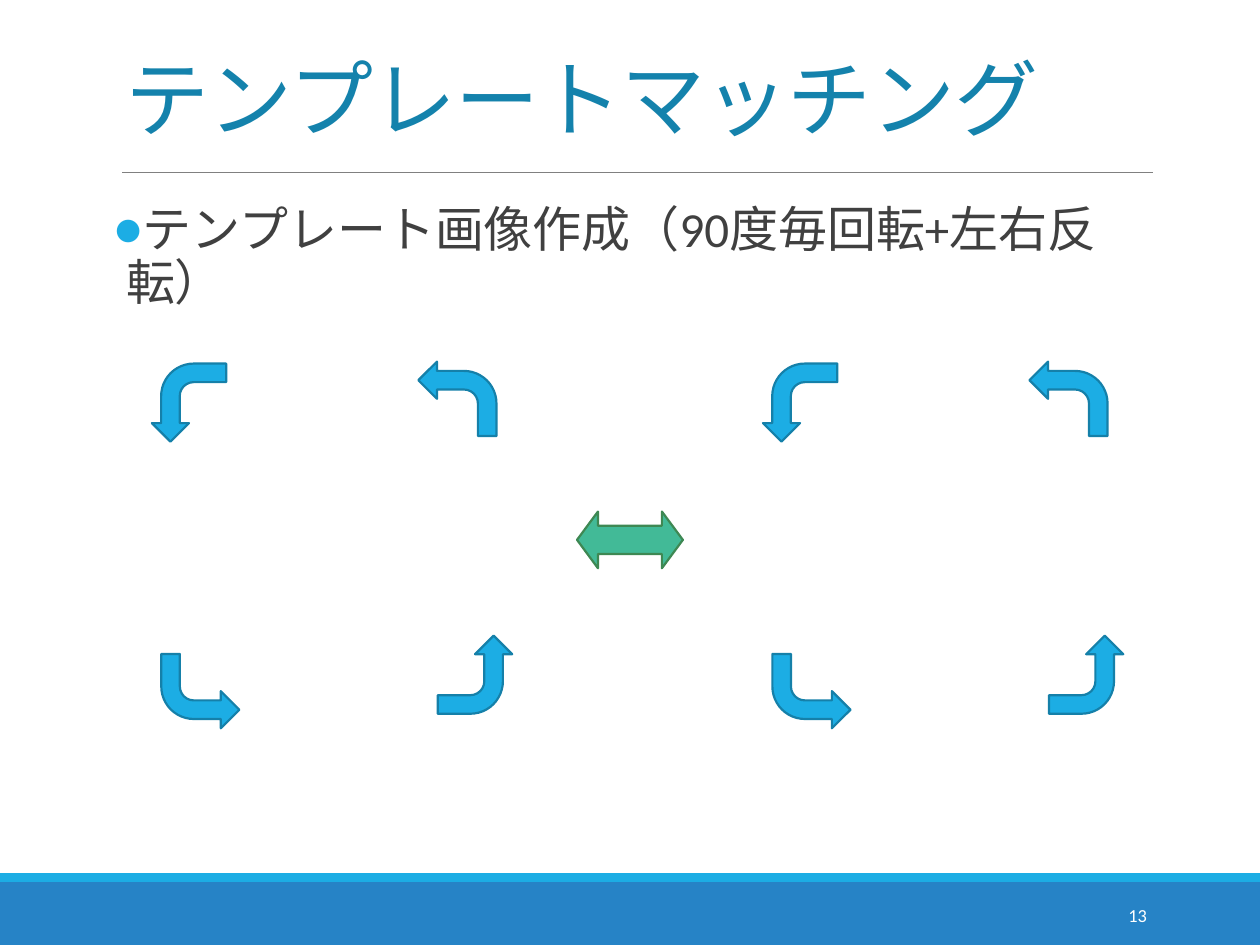
from dataclasses import dataclass
from lxml import etree
from pptx import Presentation
from pptx.dml.color import RGBColor
from pptx.enum.shapes import MSO_CONNECTOR, MSO_SHAPE
from pptx.enum.text import MSO_ANCHOR, PP_ALIGN
from pptx.oxml.ns import qn
from pptx.util import Inches, Pt

RECTANGLE = MSO_SHAPE.RECTANGLE
BENT_ARROW = MSO_SHAPE.BENT_ARROW
DOUBLE_ARROW = MSO_SHAPE.LEFT_RIGHT_ARROW
STRAIGHT = MSO_CONNECTOR.STRAIGHT
TOP, MIDDLE, BOTTOM = MSO_ANCHOR.TOP, MSO_ANCHOR.MIDDLE, MSO_ANCHOR.BOTTOM
LEFT, RIGHT = PP_ALIGN.LEFT, PP_ALIGN.RIGHT


@dataclass(frozen=True)
class Theme:
    font: str = "Calibri"
    title: str = "1482AC"
    body: str = "404040"
    white: str = "FFFFFF"
    rule: str = "808080"
    footer: str = "2683C6"
    accent: str = "1CADE4"
    accent_line: str = "1580A9"
    green: str = "42BA97"
    green_line: str = "3E8853"
    title_size: float = 48
    body_size: float = 28
    number_size: float = 10.5
    rule_width: float = 0.5
    outline_width: float = 1.25


@dataclass(frozen=True)
class Box:
    left: float
    top: float
    width: float
    height: float


@dataclass(frozen=True)
class Label:
    text: str
    box: Box
    size: float
    color: str
    anchor: MSO_ANCHOR = TOP
    align: PP_ALIGN = LEFT
    line_spacing: float = 1.0
    side_margin: float = 0.1
    bullet: str = ""
    character_spacing: int = 0


@dataclass(frozen=True)
class Turn:
    left: float
    top: float
    rotation: int


THEME = Theme()
LABELS = (
    Label("テンプレートマッチング", Box(0.9, 0.29, 8.25, 0.93), THEME.title_size,
          THEME.title, BOTTOM, line_spacing=0.85, character_spacing=-50),
    Label("テンプレート画像作成（90度毎回転+左右反転）", Box(0.9, 1.58, 8.25, 4.84),
          THEME.body_size, THEME.body, line_spacing=0.9, side_margin=0, bullet="●"),
    Label("13", Box(8.12, 7.06, 1.08, 0.4), THEME.number_size, THEME.white, MIDDLE, RIGHT),
)
TURNS = (Turn(1.19, 2.9, 90), Turn(1.28, 5.19, 0),
         Turn(3.46, 5.06, 270), Turn(3.32, 2.87, 180))
GROUP_OFFSETS = (0, 4.85)
TURN_WIDTH, TURN_HEIGHT = 0.62, 0.59


def color(value: str) -> RGBColor:
    return RGBColor.from_string(value)


def add_filled(slide, kind: MSO_SHAPE, box: Box, fill: str, line: str = ""):
    shape = slide.shapes.add_shape(kind, Inches(box.left), Inches(box.top),
                                   Inches(box.width), Inches(box.height))
    shape.shadow.inherit = False
    shape.fill.solid()
    shape.fill.fore_color.rgb = color(fill)
    if line:
        shape.line.color.rgb = color(line)
        shape.line.width = Pt(THEME.outline_width)
    else:
        shape.line.fill.background()
    return shape


def add_rule(slide, left: float, right: float, top: float) -> None:
    connector = slide.shapes.add_connector(STRAIGHT, Inches(left), Inches(top),
                                           Inches(right), Inches(top))
    connector.line.color.rgb = color(THEME.rule)
    connector.line.width = Pt(THEME.rule_width)
    etree.SubElement(connector._element.spPr, qn("a:effectLst"))


def add_bullet(paragraph, character: str) -> None:
    properties = paragraph._p.get_or_add_pPr()
    properties.set("marL", str(Inches(0.1)))
    properties.set("indent", str(Inches(-0.1)))
    bullet_color = etree.SubElement(properties, qn("a:buClr"))
    etree.SubElement(bullet_color, qn("a:srgbClr"), val=THEME.accent)
    etree.SubElement(properties, qn("a:buFont"), typeface=THEME.font)
    etree.SubElement(properties, qn("a:buChar"), char=character)


def add_label(slide, label: Label) -> None:
    box = label.box
    shape = slide.shapes.add_textbox(Inches(box.left), Inches(box.top),
                                     Inches(box.width), Inches(box.height))
    text_frame = shape.text_frame
    text_frame.word_wrap = True
    text_frame.vertical_anchor = label.anchor
    text_frame.margin_left = text_frame.margin_right = Inches(label.side_margin)
    text_frame.text = label.text
    paragraph = text_frame.paragraphs[0]
    if label.bullet:
        add_bullet(paragraph, label.bullet)
    paragraph.alignment = label.align
    paragraph.line_spacing = label.line_spacing
    run = paragraph.runs[0]
    run.font.name = THEME.font
    run.font.size = Pt(label.size)
    run.font.color.rgb = color(label.color)
    if label.character_spacing:
        run._r.get_or_add_rPr().set("spc", str(label.character_spacing))


def add_turn(slide, turn: Turn, offset: float) -> None:
    box = Box(turn.left + offset, turn.top, TURN_WIDTH, TURN_HEIGHT)
    shape = add_filled(slide, BENT_ARROW, box, THEME.accent, THEME.accent_line)
    shape.rotation = turn.rotation
    shape._element.spPr.get_or_add_xfrm().set("flipV", "1")


def main() -> None:
    presentation = Presentation()
    presentation.slide_width, presentation.slide_height = Inches(10), Inches(7.5)
    slide = presentation.slides.add_slide(presentation.slide_layouts[6])
    add_filled(slide, RECTANGLE, Box(0, 7, 10, 0.5), THEME.footer)
    add_filled(slide, RECTANGLE, Box(0, 6.93, 10, 0.07), THEME.accent)
    add_rule(slide, 0.97, 9.15, 1.37)
    for label in LABELS:
        add_label(slide, label)
    for offset in GROUP_OFFSETS:
        for turn in TURNS:
            add_turn(slide, turn, offset)
    mirror = add_filled(slide, DOUBLE_ARROW, Box(4.58, 4.06, 0.84, 0.45),
                        THEME.green, THEME.green_line)
    mirror.adjustments[1] = 0.37
    presentation.save("out.pptx")


if __name__ == "__main__":
    main()
